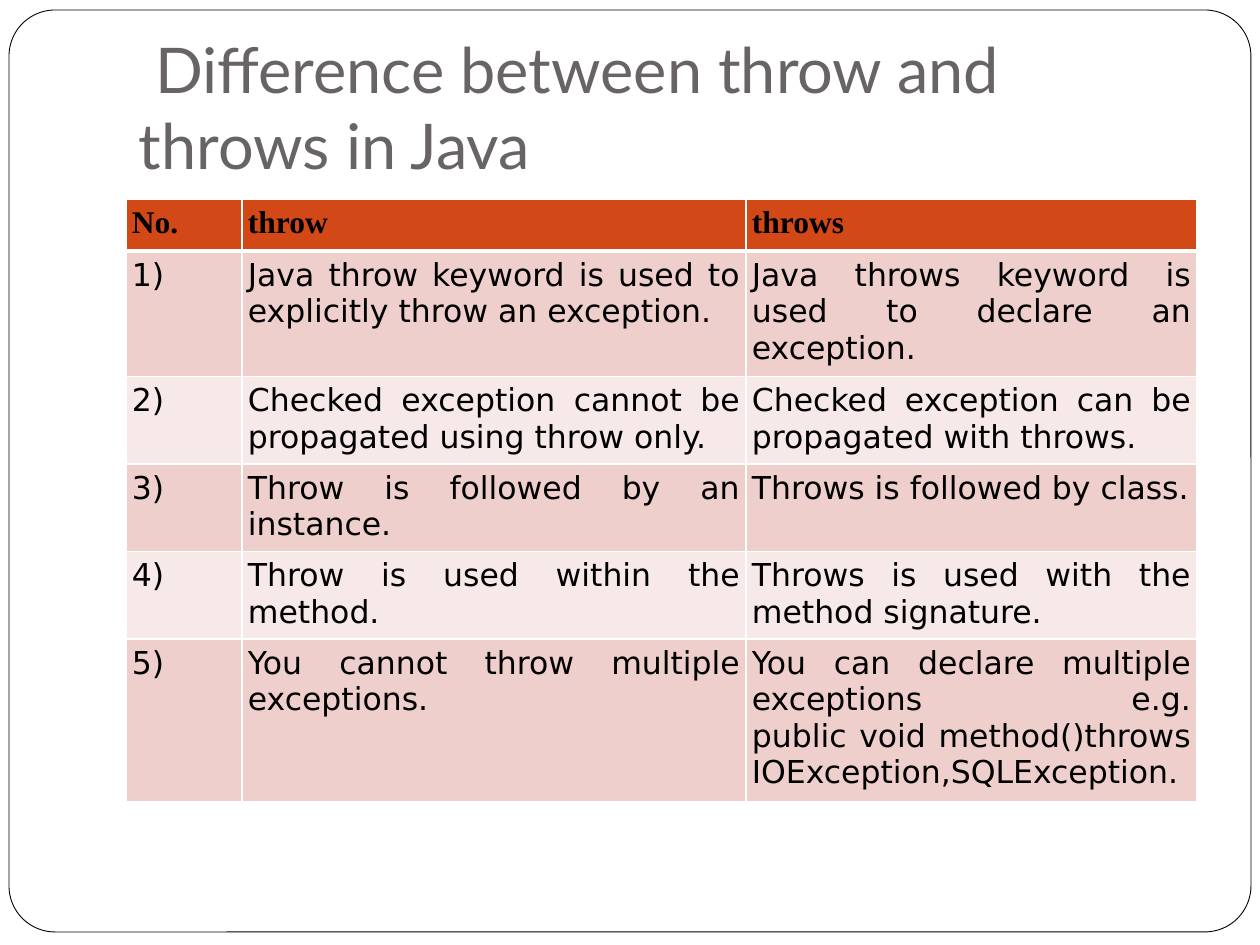
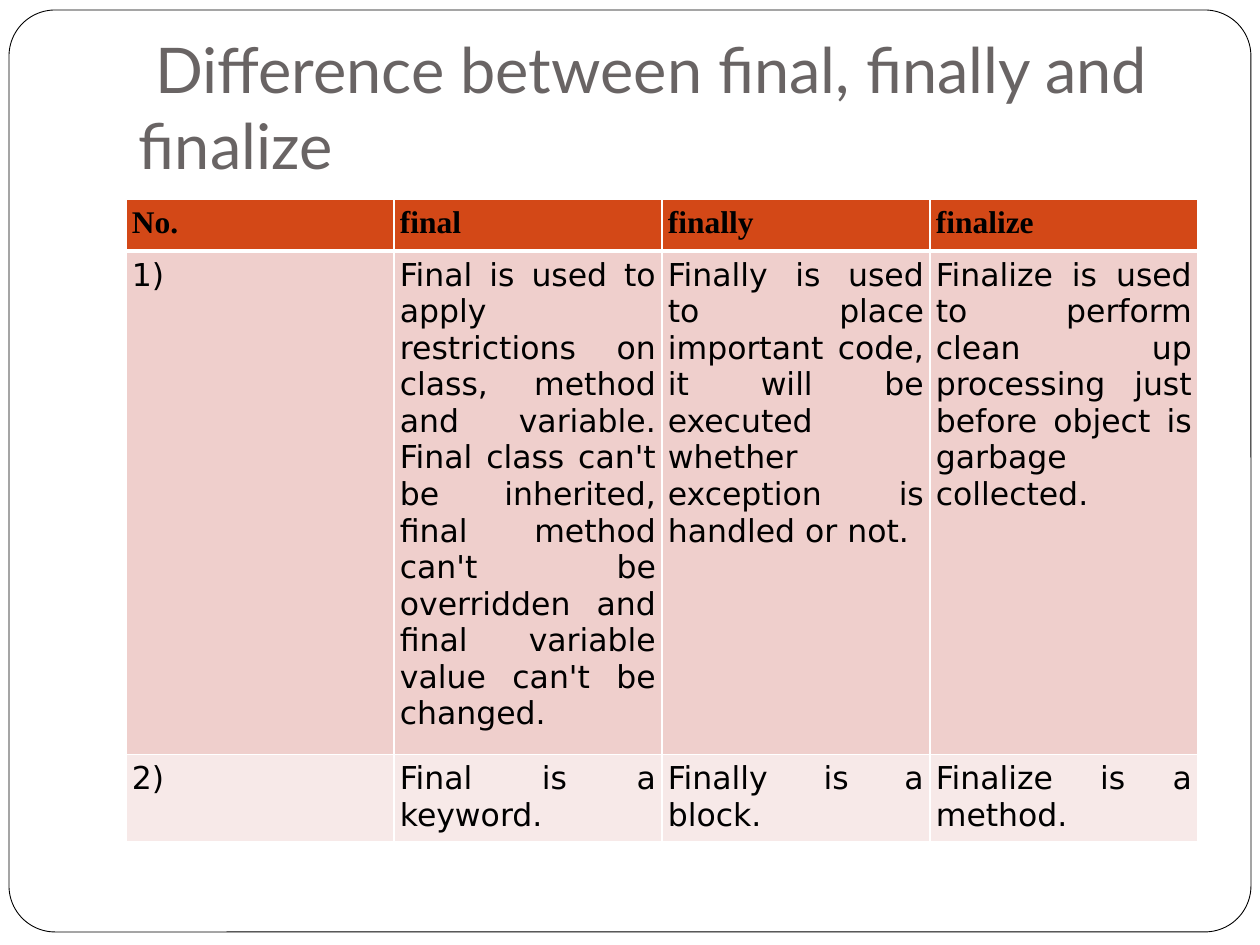
from dataclasses import dataclass

import pptx
import pptx.util
from pptx.dml.color import RGBColor
from pptx.enum.shapes import MSO_SHAPE
from pptx.enum.text import MSO_ANCHOR, PP_ALIGN
from pptx.oxml import parse_xml
from pptx.oxml.ns import nsdecls

SCALE = 914400 / 126  # EMU in one px


@dataclass(frozen=True)
class Theme:
    white: str = "FFFFFF"
    black: str = "000000"
    gray: str = "696464"
    head: str = "D34817"
    bands: tuple = ("EFCFCC", "F7E9E8")
    title_font: str = "Lato"
    head_font: str = "Times New Roman"
    body_font: str = "DejaVu Sans"
    title_size: int = 36
    cell_size: int = 18
    thin: int = 1
    thick: int = 3


THEME = Theme()


def px(*sizes):
    """Turn px into EMU."""
    return [pptx.util.Emu(round(size * SCALE)) for size in sizes]


def style(frame, font, size, color, bold=False, align=PP_ALIGN.LEFT):
    for para in frame.paragraphs:
        para.alignment = align
        for run in para.runs:
            run.font.name = font
            run.font.size = pptx.util.Pt(size)
            run.font.bold = bold
            run.font.color.rgb = RGBColor.from_string(color)


def inset(frame, left, top, right, bottom):
    frame.margin_left, frame.margin_top = px(left, top)
    frame.margin_right, frame.margin_bottom = px(right, bottom)


# Shared slide parts
def add_frame(slide):
    frame = slide.shapes.add_shape(
        MSO_SHAPE.ROUNDED_RECTANGLE, *px(9, 10, 1242, 922))
    frame.adjustments[0] = 0.05
    frame.shadow.inherit = False
    frame.fill.solid()
    frame.fill.fore_color.rgb = RGBColor.from_string(THEME.white)
    frame.line.color.rgb = RGBColor.from_string(THEME.black)
    frame.line.width = pptx.util.Pt(0.5)


def add_title(slide, text):
    frame = slide.shapes.add_textbox(*px(126, 38, 1071, 157)).text_frame
    frame.word_wrap = True
    frame.vertical_anchor = MSO_ANCHOR.BOTTOM
    inset(frame, 13, 6, 13, 13)
    frame.text = text
    style(frame, THEME.title_font, THEME.title_size, THEME.gray)


# Table parts
def add_border(cell, side, points):
    cell._tc.get_or_add_tcPr().append(parse_xml(
        f'<a:ln{side} {nsdecls("a")} w="{pptx.util.Pt(points)}">'
        f'<a:solidFill><a:srgbClr val="{THEME.white}"/></a:solidFill>'
        f'</a:ln{side}>'))


def fill_cell(cell, text, row):
    is_head = row == 0
    inset(cell, 6, 6, 6, 6)
    cell.text_frame.text = text
    if is_head:
        color = THEME.head
        style(cell.text_frame, THEME.head_font, THEME.cell_size,
              THEME.black, bold=True)
    else:
        color = THEME.bands[(row - 1) % 2]
        style(cell.text_frame, THEME.body_font, THEME.cell_size,
              THEME.black, align=PP_ALIGN.JUSTIFY)
    # A thick rule parts the header from the body
    add_border(cell, "L", THEME.thin)
    add_border(cell, "R", THEME.thin)
    add_border(cell, "T", THEME.thick if row == 1 else THEME.thin)
    add_border(cell, "B", THEME.thick if is_head else THEME.thin)
    cell.fill.solid()
    cell.fill.fore_color.rgb = RGBColor.from_string(color)


def add_grid(slide, rows, widths, heights):
    grid = slide.shapes.add_table(
        len(rows), len(widths),
        *px(126, 199, sum(widths), sum(heights))).table
    for col, width in zip(grid.columns, px(*widths)):
        col.width = width
    for line, height in zip(grid.rows, px(*heights)):
        line.height = height
    for r, row in enumerate(rows):
        for c, text in enumerate(row):
            fill_cell(grid.cell(r, c), text, r)


def add_page(deck, title, rows, widths, heights):
    slide = deck.slides.add_slide(deck.slide_layouts[6])
    add_frame(slide)
    add_title(slide, title)
    add_grid(slide, rows, widths, heights)


# Content
THROW_ROWS = [
    ("No.", "throw", "throws"),
    ("1)", "Java throw keyword is used to explicitly throw an exception.",
     "Java throws keyword is used to declare an exception."),
    ("2)", "Checked exception cannot be propagated using throw only.",
     "Checked exception can be propagated with throws."),
    ("3)", "Throw is followed by an instance.",
     "Throws is followed by class."),
    ("4)", "Throw is used within the method.",
     "Throws is used with the method signature."),
    ("5)", "You cannot throw multiple exceptions.",
     "You can declare multiple exceptions e.g.\v"
     "public void method()throws IOException,SQLException."),
]

FINAL_ROWS = [
    ("No.", "final", "finally", "finalize"),
    ("1)",
     "Final is used to apply restrictions on class, method and variable. "
     "Final class can't be inherited, final method can't be overridden "
     "and final variable value can't be changed.",
     "Finally is used to place important code, it will be executed "
     "whether exception is handled or not.",
     "Finalize is used to perform clean up processing just before "
     "object is garbage collected."),
    ("2)", "Final is a keyword.", "Finally is a block.",
     "Finalize is a method."),
]


def main():
    deck = pptx.Presentation()
    deck.slide_width, deck.slide_height = px(1260, 945)
    add_page(deck, " Difference between throw and throws in Java",
             THROW_ROWS, [116, 504, 451], [52, 122, 86, 86, 86, 159])
    add_page(deck, " Difference between final, finally and finalize",
             FINAL_ROWS, [268] * 4, [52, 488, 86])
    deck.save("out.pptx")


if __name__ == "__main__":
    main()
